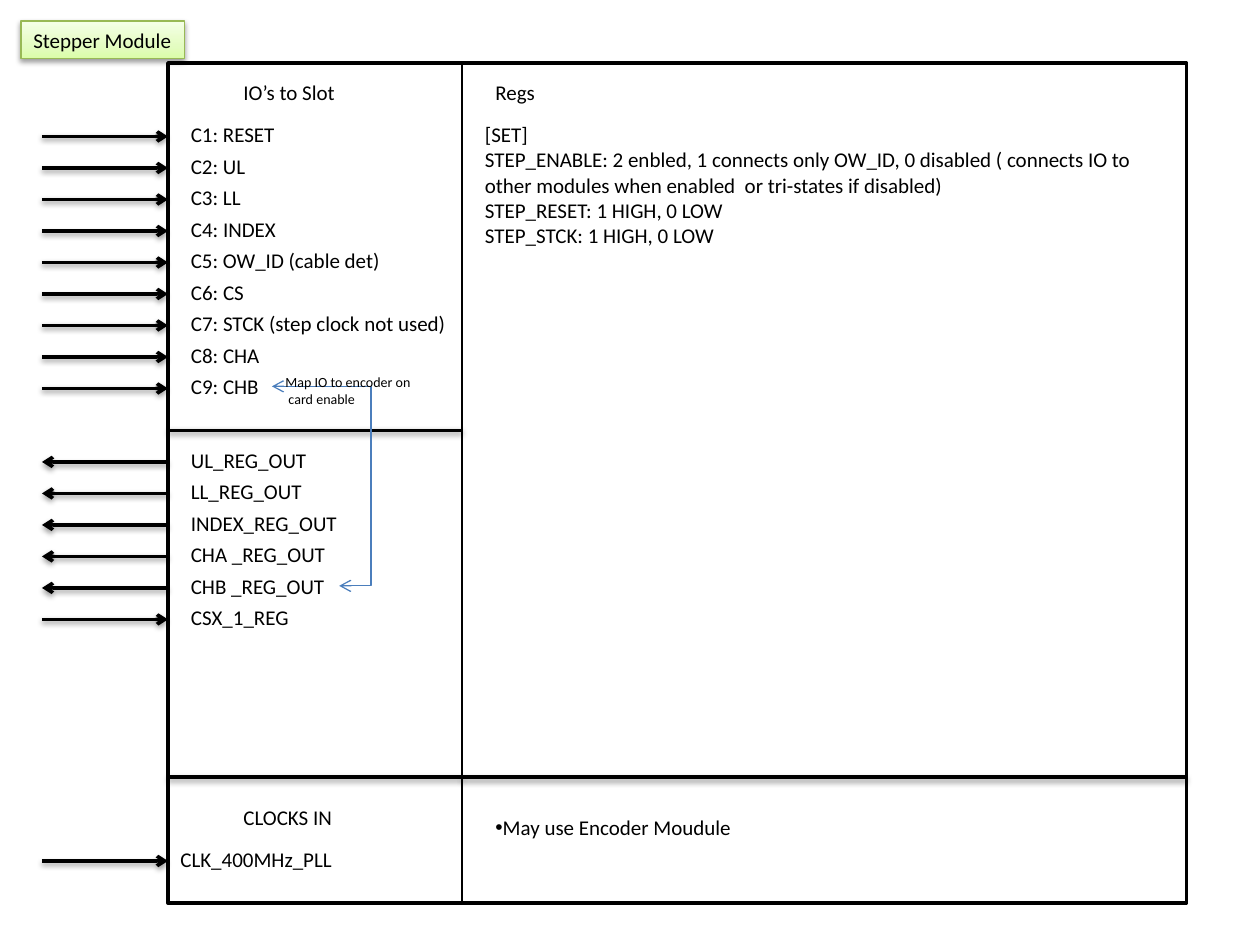
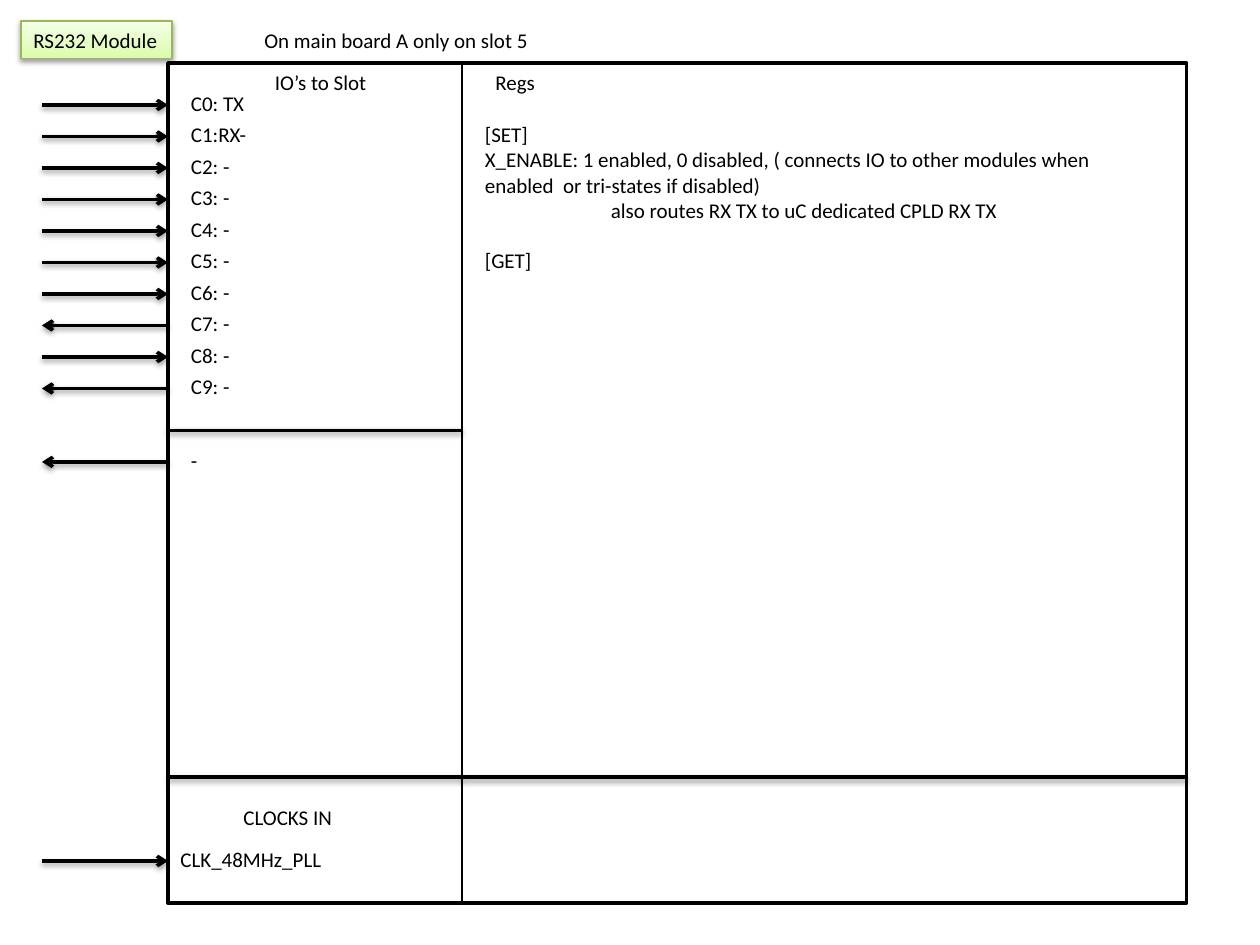
from collections import namedtuple
from dataclasses import dataclass

from lxml import etree
from pptx import Presentation
from pptx.dml.color import RGBColor
from pptx.enum.shapes import MSO_CONNECTOR, MSO_SHAPE
from pptx.enum.text import MSO_ANCHOR, MSO_AUTO_SIZE, PP_ALIGN
from pptx.oxml.ns import qn
from pptx.util import Emu, Pt

PX = 7620  # 120 px to the inch
RECT = MSO_SHAPE.RECTANGLE
STRAIGHT, ELBOW = MSO_CONNECTOR.STRAIGHT, MSO_CONNECTOR.ELBOW
LEFT, TOP = PP_ALIGN.LEFT, MSO_ANCHOR.TOP
FIT = MSO_AUTO_SIZE.SHAPE_TO_FIT_TEXT
IN, OUT = "tailEnd", "headEnd"

Box = namedtuple("Box", "x y w h")
Pin = namedtuple("Pin", "label w way", defaults=(61, IN))


@dataclass(frozen=True)
class Theme:
    font: str = "Calibri"
    body: int = 12
    small: int = 8
    ink: str = "000000"
    paper: str = "FFFFFF"
    link: str = "4B7EBC"
    tag_line: str = "98B955"
    tag_stops: tuple = ((0, "DAFDA7"), (35, "E4FCC2"), (100, "F5FFE7"))
    thick: float = 2
    thin: float = 0.75


T = Theme()
FRAME = Box(160, 60, 970, 800)
SPLIT = 280     # width of the pin column
SLOT_END = 350  # bottom of the slot pins
BODY_END = 680  # top of the clock band
PITCH, ROW_H, LANE = 30, 36, 120


def px(*values):
    return [Emu(v * PX) for v in values]


def rgb(value):
    return RGBColor.from_string(value)


def sub(parent, tag, **attrs):
    el = etree.SubElement(parent, qn("a:" + tag))
    for key, value in attrs.items():
        el.set(key, str(value))
    return el


def add_effect(sp, shadow):
    effects = sub(sp._element.spPr, "effectLst")
    if shadow:
        outer = sub(effects, "outerShdw", blurRad=40000, dist=20000,
                    dir=5400000, rotWithShape=0)
        sub(sub(outer, "srgbClr", val=T.ink), "alpha", val=38000)


def set_line(sp, color, width):
    sp.line.color.rgb = rgb(color)
    sp.line.width = Pt(width)


def add_line(slide, start, end, width=T.thick, color=T.ink, kind=STRAIGHT,
             heads=(), shadow=True):
    cxn = slide.shapes.add_connector(kind, *px(*start, *end))
    set_line(cxn, color, width)
    for head in heads:
        sub(cxn.line._get_or_add_ln(), head, type="arrow")
    add_effect(cxn, shadow)
    return cxn


def write(sp, lines, size=T.body, wrap=False):
    tf = sp.text_frame
    for key, value in dict(word_wrap=wrap, auto_size=FIT,
                           vertical_anchor=TOP).items():
        setattr(tf, key, value)
    for i, line in enumerate(lines):
        p = tf.paragraphs[0] if i == 0 else tf.add_paragraph()
        p.alignment = LEFT
        r = p.add_run()
        r.text = line
        for key, value in dict(name=T.font, size=Pt(size)).items():
            setattr(r.font, key, value)
        r.font.color.rgb = rgb(T.ink)
    return tf


def add_text(slide, box, *lines, **fmt):
    return write(slide.shapes.add_textbox(*px(*box)), lines, **fmt)


def add_tag(slide, name, width):
    """Green module name at the top left."""
    sp = slide.shapes.add_shape(RECT, *px(20, 20, width, ROW_H))
    sp.fill.gradient()
    sp.fill.gradient_angle = 90
    stops = sp._element.spPr.find(".//" + qn("a:gsLst"))
    for stop in list(stops):
        stops.remove(stop)
    for pos, color in T.tag_stops:
        sub(sub(stops, "gs", pos=pos * 1000), "srgbClr", val=color)
    set_line(sp, T.tag_line, T.thin)
    add_effect(sp, True)
    write(sp, [name])


def add_frame(slide, box):
    """Outer box with its column and band dividers."""
    sp = slide.shapes.add_shape(RECT, *px(*box))
    sp.shadow.inherit = False
    sp.fill.solid()
    sp.fill.fore_color.rgb = rgb(T.paper)
    set_line(sp, T.ink, T.thick)
    split, right = box.x + SPLIT, box.x + box.w
    add_line(slide, (split, box.y), (split, box.y + box.h), T.thin,
             shadow=False)
    for x1, x2, dy in ((box.x, split, SLOT_END), (box.x, split, BODY_END),
                       (split, right, BODY_END)):
        add_line(slide, (x1, box.y + dy), (x2, box.y + dy))


def add_pins(slide, box, pins, dy, dx=10):
    """Rows of pin labels, each with an arrow in the left margin."""
    for i, pin in enumerate(pins):
        y = box.y + dy + i * PITCH
        add_line(slide, (box.x - LANE, y + 20), (box.x, y + 20), kind=ELBOW,
                 heads=[pin.way])
        add_text(slide, (box.x + dx, y, pin.w, ROW_H), pin.label)


def add_regs(slide, box, title_dy, lines, height):
    """Register column: heading and wrapped description."""
    x = box.x + SPLIT
    add_text(slide, (x + 20, box.y + title_dy, 62, ROW_H), "Regs")
    return add_text(slide, (x + 10, box.y + 50, 660, height), *lines,
                    wrap=True)


def add_clocks(slide, box, clock):
    """Bottom band: heading and clock input."""
    add_text(slide, (box.x + 60, box.y + 700, 109, ROW_H), "CLOCKS IN")
    add_pins(slide, box, [clock], 740, dx=0)


def add_encoder_map(slide, box):
    """Link from the slot pin to the register output."""
    x, y = box.x + 99, box.y + 308
    cxn = add_line(slide, (x, y), (x + 64, y + 190), T.thin, T.link, ELBOW,
                   (OUT, IN), shadow=False)
    guides = cxn._element.spPr.find(".//" + qn("a:avLst"))
    sub(guides, "gd", name="adj1", fmla="val 147200")
    add_text(slide, (x + 1, y - 18, 144, 44), "Map IO to encoder on",
             " card enable", size=T.small)


def add_note(slide, box, note):
    tf = add_text(slide, (box.x + SPLIT + 20, box.y + 710, 251, ROW_H), note)
    pPr = tf.paragraphs[0]._p.get_or_add_pPr()
    sub(pPr, "buFont", typeface="Arial")
    sub(pPr, "buChar", char="•")


def add_module(prs, name, tag_w, io_title, slot, slot_dy, outputs, clock,
               regs_dy, regs, regs_h):
    """Everything that both module slides have."""
    slide = prs.slides.add_slide(prs.slide_layouts[6])
    add_frame(slide, FRAME)
    add_tag(slide, name, tag_w)
    dx, dy = io_title
    add_text(slide, (FRAME.x + dx, FRAME.y + dy, 113, ROW_H), "IO’s to Slot")
    add_pins(slide, FRAME, slot, slot_dy)
    add_pins(slide, FRAME, outputs, SLOT_END + 10)
    add_clocks(slide, FRAME, clock)
    return slide, add_regs(slide, FRAME, regs_dy, regs, regs_h)


def stepper_slide(prs):
    slide, _ = add_module(
        prs, "Stepper Module", 156, io_title=(60, 10), slot_dy=50,
        slot=[Pin("C1: RESET", 106), Pin("C2: UL", 77), Pin("C3: LL", 72),
              Pin("C4: INDEX", 107), Pin("C5: OW_ID (cable det)", 206),
              Pin("C6: CS", 76), Pin("C7: STCK (step clock not used)", 270),
              Pin("C8: CHA", 90), Pin("C9: CHB", 90)],
        outputs=[Pin("UL_REG_OUT", 136, OUT), Pin("LL_REG_OUT", 131, OUT),
                 Pin("INDEX_REG_OUT", 166, OUT),
                 Pin("CHA _REG_OUT", 154, OUT),
                 Pin("CHB _REG_OUT", 154, OUT), Pin("CSX_1_REG", 119)],
        clock=Pin("CLK_400MHz_PLL", 170), regs_dy=10, regs_h=133,
        regs=["[SET]",
              "STEP_ENABLE: 2 enbled, 1 connects only OW_ID, 0 disabled "
              "( connects IO to other modules when enabled  or tri-states "
              "if disabled)",
              "STEP_RESET: 1 HIGH, 0 LOW",
              "STEP_STCK: 1 HIGH, 0 LOW"])
    add_encoder_map(slide, FRAME)
    add_note(slide, FRAME, "May use Encoder Moudule")


def rs232_slide(prs):
    outgoing = (7, 9)
    spare = [Pin(f"C{n}: -", way=OUT if n in outgoing else IN)
             for n in range(2, 10)]
    slide, tf = add_module(
        prs, "RS232 Module", 144, io_title=(90, 0), slot_dy=20,
        slot=[Pin("C0: TX", 76), Pin("C1:RX-", 78)] + spare,
        outputs=[Pin("-", 30, OUT)],
        clock=Pin("CLK_48MHz_PLL", 160), regs_dy=0, regs_h=302,
        regs=["[SET]",
              "X_ENABLE: 1 enabled, 0 disabled, ( connects IO to other "
              "modules when enabled  or tri-states if disabled)",
              "also routes RX TX to uC dedicated CPLD RX TX",
              "[GET]"])
    routes, getters = tf.paragraphs[2:]
    routes._p.get_or_add_pPr().set("marL", str(120 * PX))
    getters.space_before = Pt(14.5)
    add_text(slide, (240, 20, 890, ROW_H), "On main board A only on slot 5",
             wrap=True)


def main():
    prs = Presentation()
    prs.slide_width, prs.slide_height = px(1200, 900)
    stepper_slide(prs)
    rs232_slide(prs)
    prs.save("out.pptx")


if __name__ == "__main__":
    main()
